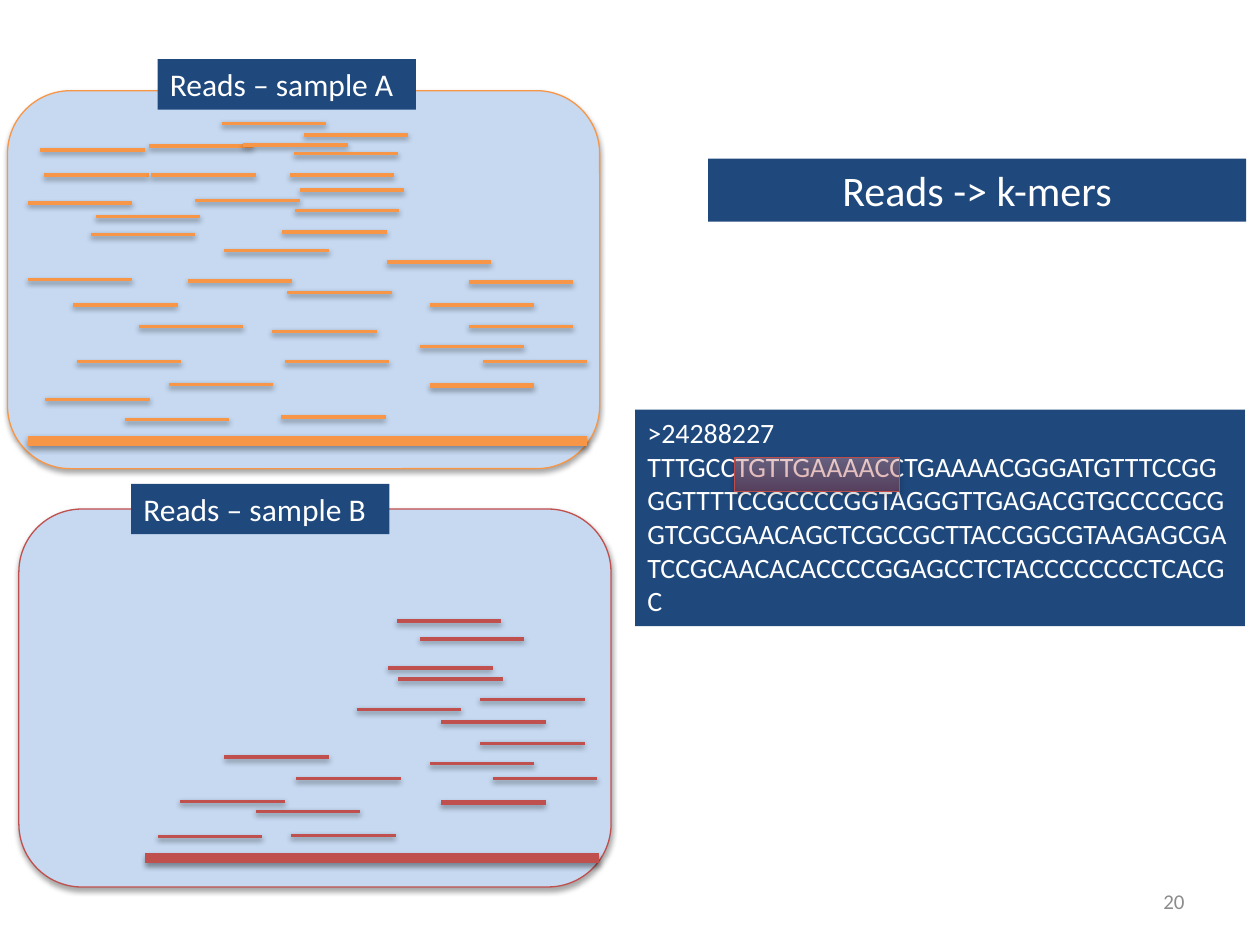
from lxml.etree import SubElement
from pptx import Presentation
from pptx.dml.color import RGBColor
from pptx.enum.shapes import MSO_CONNECTOR, MSO_SHAPE
from pptx.enum.text import MSO_ANCHOR, MSO_AUTO_SIZE, PP_ALIGN
from pptx.oxml.ns import qn
from pptx.util import Inches, Pt

COLORS = {
    "panel": "C6D9F1", "label": "1F497D", "white": "FFFFFF", "gray": "8C8C8C",
    "sample_a": "F79646", "sample_b": "C0504D", "kmer_line": "BF4C48",
    "kmer_dark": "D1403C", "kmer_light": "FFA6A5", "black": "000000",
}
RGB = {name: RGBColor.from_string(value) for name, value in COLORS.items()}
READ_LENGTH = 0.83

prs = Presentation()
prs.slide_width, prs.slide_height = Inches(10), Inches(7.5)
s = prs.slides.add_slide(prs.slide_layouts[6])


def add_shadow(shape, opacity=35, distance=1.8):
    """Add a soft shadow below; call after fill and line are set."""
    effects = SubElement(shape._element.spPr, qn("a:effectLst"))
    outer = SubElement(effects, qn("a:outerShdw"), blurRad=str(Pt(3.15)),
                       dist=str(Pt(distance)), dir="5400000", rotWithShape="0")
    color = SubElement(outer, qn("a:srgbClr"), val=COLORS["black"])
    SubElement(color, qn("a:alpha"), val=str(opacity * 1000))


def add_text(text, x, y, w, h, size=18, color="white", fill="label",
             align=PP_ALIGN.LEFT, anchor=MSO_ANCHOR.TOP):
    sp = s.shapes.add_textbox(Inches(x), Inches(y), Inches(w), Inches(h))
    tf = sp.text_frame
    tf.word_wrap = True
    tf.vertical_anchor = anchor
    if fill:
        sp.fill.solid()
        sp.fill.fore_color.rgb = RGB[fill]
        tf.auto_size = MSO_AUTO_SIZE.SHAPE_TO_FIT_TEXT
    for i, line in enumerate(text.split("\n")):
        p = tf.add_paragraph() if i else tf.paragraphs[0]
        p.alignment = align
        r = p.add_run()
        r.text = line
        r.font.name = "Calibri"
        r.font.size = Pt(size)
        r.font.color.rgb = RGB[color]


# Each sample: panel corner, label corner, thin reads, bold read, long bottom bar
samples = [
    ("Reads – sample A", "sample_a", (0.06, 0.72), (1.25, 0.47), [
        (0.32, 1.19), (0.35, 1.39), (0.76, 1.72), (1.18, 1.16), (1.76, 0.98),
        (2.23, 3.31), (1.55, 1.59), (2.41, 1.07), (2.38, 1.51), (0.99, 3.33),
        (0.22, 1.61), (0.22, 2.22), (2.3, 1.39), (1.93, 1.15), (2.24, 1.84),
        (1.49, 2.23), (2.34, 1.67), (0.36, 3.17), (1.2, 1.39), (0.58, 2.42),
        (0.61, 2.87), (1.78, 1.99), (2.33, 1.22), (0.72, 1.86), (1.34, 3.05),
        (1.1, 2.59), (2.28, 2.32), (2.16, 2.63), (2.26, 2.87), (3.41, 2.42),
        (3.07, 2.08), (3.72, 2.59), (3.83, 2.87), (3.72, 2.24), (3.33, 2.75),
    ], (3.41, 3.06), (0.22, 4.66, 3.5)),
    ("Reads – sample B", "sample_b", (0.15, 4.04), (1.04, 3.84), [
        (2.31, 6.63), (3.33, 5.07), (1.25, 6.64), (3.15, 4.93), (2.03, 6.44),
        (1.78, 6.01), (3.08, 5.3), (1.43, 6.36), (2.83, 5.63), (2.35, 6.18),
        (3.5, 5.73), (3.16, 5.39), (3.81, 5.9), (3.91, 6.18), (3.81, 5.55),
        (3.41, 6.06),
    ], (3.5, 6.37), (1.15, 4.75, 6.81)),
]

for label, color, panel, label_at, reads, bold_read, bar in samples:
    sp = s.shapes.add_shape(MSO_SHAPE.ROUNDED_RECTANGLE, Inches(panel[0]),
                            Inches(panel[1]), Inches(4.7), Inches(3))
    sp.fill.solid()
    sp.fill.fore_color.rgb = RGB["panel"]
    sp.line.color.rgb = RGB[color]
    sp.line.width = Pt(0.75)
    add_shadow(sp)

    lines = [(x, x + READ_LENGTH, y, 2) for x, y in reads]
    lines.append((bold_read[0], bold_read[0] + READ_LENGTH, bold_read[1], 3))
    lines.append((*bar, 6))
    for x1, x2, y, width in lines:
        read = s.shapes.add_connector(MSO_CONNECTOR.STRAIGHT, Inches(x1), Inches(y),
                                      Inches(x2), Inches(y))
        read.line.color.rgb = RGB[color]
        read.line.width = Pt(width)
        if width == 3:
            add_shadow(read)
        else:
            add_shadow(read, opacity=38, distance=1.6)

    add_text(label, *label_at, 2.05, 0.4)

add_text(">24288227\n"
         "TTTGCCTGTTGAAAACCTGAAAACGGGATGTTTCCGGGGTTTTCCGCCCCGGTAGGGTTGAGACGTGCCCCGCG"
         "GTCGCGAACAGCTCGCCGCTTACCGGCGTAAGAGCGATCCGCAACACACCCCGGAGCCTCTACCCCCCCCTCACGC",
         5.04, 3.25, 4.84, 1.72, size=16)

# Translucent k-mer window over the sequence
kmer = s.shapes.add_shape(MSO_SHAPE.RECTANGLE, Inches(5.83), Inches(3.63),
                          Inches(1.31), Inches(0.27))
kmer.fill.gradient()
kmer.fill.gradient_angle = 90
for stop, name in zip(kmer.fill.gradient_stops, ("kmer_dark", "kmer_light")):
    stop.color.rgb = RGB[name]
for stop_color in kmer._element.spPr.iter(qn("a:srgbClr")):
    SubElement(stop_color, qn("a:alpha"), val="33000")
kmer.line.color.rgb = RGB["kmer_line"]
kmer.line.width = Pt(0.75)
add_shadow(kmer)

add_text("Reads -> k-mers", 5.62, 1.26, 4.27, 0.5, size=24, align=PP_ALIGN.CENTER)
add_text("20", 7.17, 6.95, 2.33, 0.4, size=12, color="gray", fill=None,
         align=PP_ALIGN.RIGHT, anchor=MSO_ANCHOR.MIDDLE)

prs.save("out.pptx")
